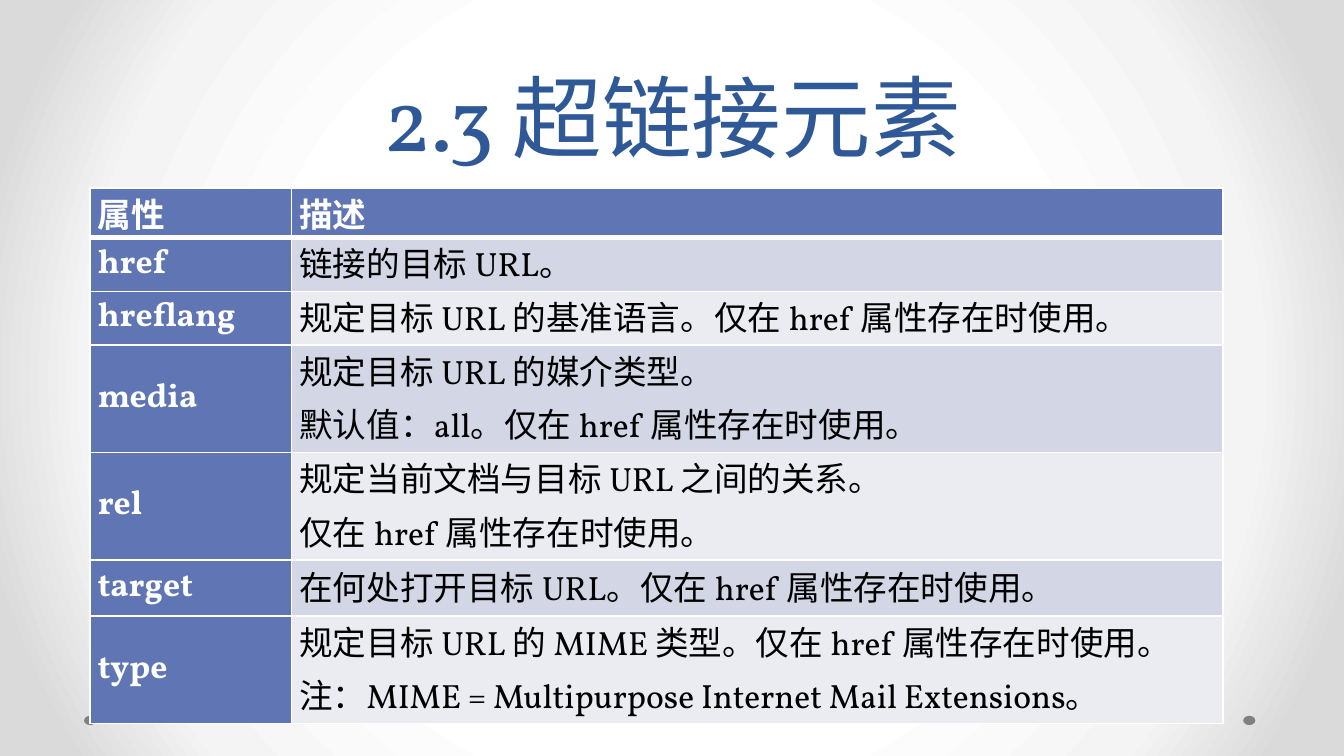
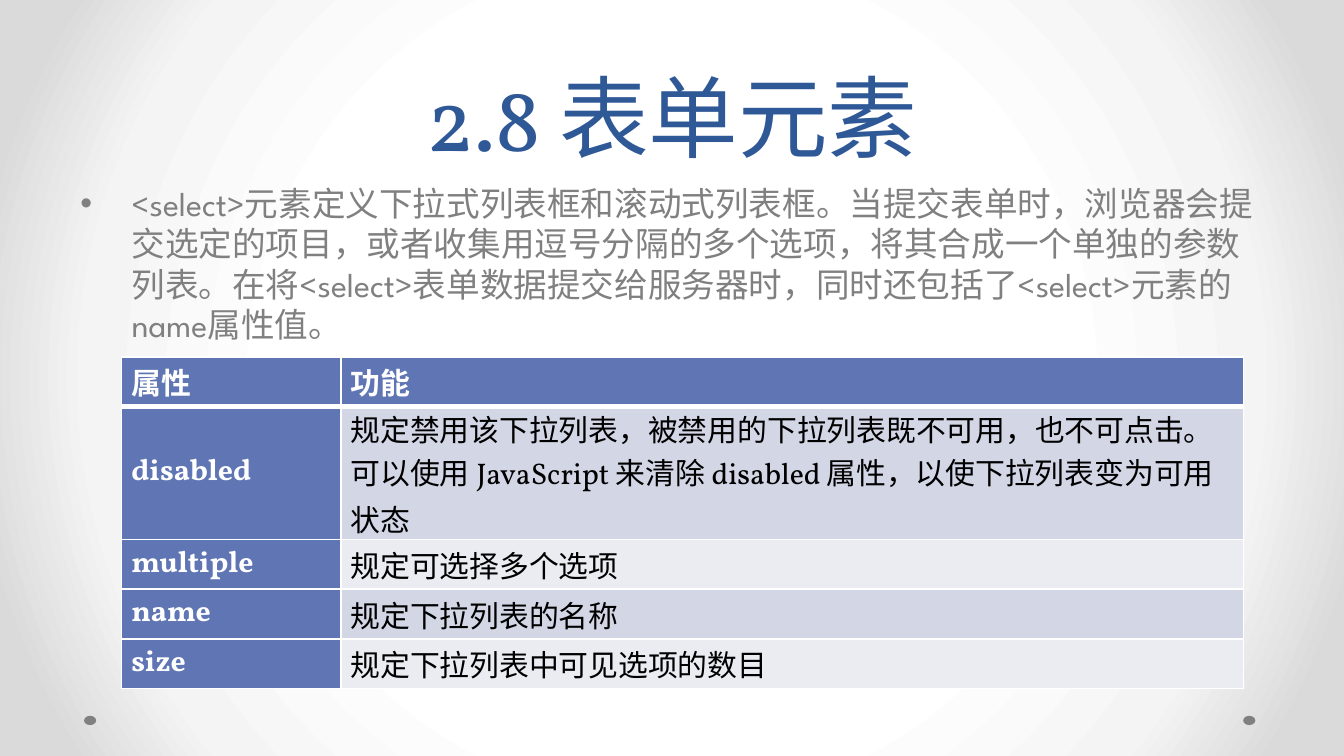
from dataclasses import dataclass

from lxml import etree
from pptx import Presentation
from pptx.dml.color import RGBColor
from pptx.enum import lang, shapes, text
from pptx.oxml import ns
from pptx.util import Pt


@dataclass(frozen=True)
class Theme:
    heading_font: str = "Vollkorn"
    body_font: str = "League Spartan"
    title_size: float = 48
    title_line: float = 58
    body_size: float = 18
    title: str = "2F5897"
    grey: str = "808080"
    white: str = "FFFFFF"
    black: str = "000000"
    header: str = "6076B4"
    bands: tuple = ("D2D6E5", "EAECF2")
    glow: tuple = ((50, "FFFFFF"), (76, "F4F4F4"), (92, "DADADA"))
    rule: float = 1
    header_rule: float = 3


def rgb(color):
    return RGBColor.from_string(color)


def child(parent, tag, **attributes):
    return etree.SubElement(parent, ns.qn(tag), attributes)


class Deck:
    def __init__(self, theme):
        self.theme = theme
        self.prs = Presentation()
        self.prs.slide_width, self.prs.slide_height = Pt(720), Pt(405)
        self.slide = None

    def new_slide(self, heading):
        self.slide = self.prs.slides.add_slide(self.prs.slide_layouts[6])
        self.background()
        for left in (666, 45):
            self.dot(left, 383.5)
        self.title(heading)

    def background(self):
        """Fill the slide with a glow that darkens towards the edges."""
        self.slide.background.fill.solid()
        properties = self.slide.element.find(".//" + ns.qn("p:bgPr"))
        properties.remove(properties[0])
        gradient = etree.Element(ns.qn("a:gradFill"), rotWithShape="1")
        stops = child(gradient, "a:gsLst")
        for position, color in self.theme.glow:
            stop = child(stops, "a:gs", pos=str(position * 1000))
            child(stop, "a:srgbClr", val=color)
        circle = child(gradient, "a:path", path="circle")
        child(circle, "a:fillToRect", **dict.fromkeys("ltrb", "50000"))
        properties.insert(0, gradient)

    def dot(self, left, top):
        dot = self.slide.shapes.add_shape(
            shapes.MSO_SHAPE.OVAL, Pt(left), Pt(top), Pt(6.5), Pt(5))
        dot.shadow.inherit = False
        dot.fill.solid()
        dot.fill.fore_color.rgb = rgb(self.theme.grey)
        dot.line.fill.background()

    def run(self, paragraph, words, font, size, color, bold=False):
        run = paragraph.add_run()
        run.text = words
        run.font.name, run.font.size, run.font.bold = font, Pt(size), bold
        run.font.color.rgb = rgb(color)
        run.font.language_id = lang.MSO_LANGUAGE_ID.SIMPLIFIED_CHINESE

    def frame(self, top, width, height, anchor):
        box = self.slide.shapes.add_textbox(Pt(36), Pt(top), Pt(width), Pt(height))
        box.text_frame.word_wrap = True
        box.text_frame.vertical_anchor = anchor
        return box.text_frame.paragraphs[0]

    def title(self, words):
        heading = self.frame(0, 648, 94.5, text.MSO_ANCHOR.BOTTOM)
        heading.alignment = text.PP_ALIGN.CENTER
        heading.line_spacing = Pt(self.theme.title_line)
        self.run(heading, words, self.theme.heading_font,
                 self.theme.title_size, self.theme.title)

    def bullet(self, words):
        point = self.frame(94.5, 647, 267, text.MSO_ANCHOR.TOP)
        point.space_before = Pt(3.6)
        properties = point._p.get_or_add_pPr()
        properties.set("marL", str(Pt(27.4)))
        properties.set("indent", str(Pt(-27.4)))
        child(properties, "a:buFont", typeface="Arial")
        child(properties, "a:buChar", char="•")
        self.run(point, words, self.theme.body_font,
                 self.theme.body_size, self.theme.grey)

    def table(self, left, top, widths, heights, rows, size, inset):
        """Draw a table; the first row and the first column are headings."""
        table = self.slide.shapes.add_table(
            len(rows), len(widths), Pt(left), Pt(top),
            Pt(sum(widths)), Pt(sum(heights))).table
        for column, width in zip(table.columns, widths):
            column.width = Pt(width)
        for r, (height, row) in enumerate(zip(heights, rows)):
            table.rows[r].height = Pt(height)
            for c, words in enumerate(row):
                is_heading = r == 0 or c == 0
                fill = self.theme.header if is_heading else self.theme.bands[(r - 1) % 2]
                self.cell(table.cell(r, c), words, size, inset, fill, is_heading)
                self.borders(table.cell(r, c), r)

    def cell(self, cell, words, size, inset, fill, is_heading):
        cell.margin_left = cell.margin_right = Pt(inset)
        cell.margin_top = cell.margin_bottom = Pt(0)
        cell.vertical_anchor = text.MSO_ANCHOR.MIDDLE
        cell.fill.solid()
        cell.fill.fore_color.rgb = rgb(fill)
        color = self.theme.white if is_heading else self.theme.black
        for i, line in enumerate(words.split("\n")):
            frame = cell.text_frame
            paragraph = frame.add_paragraph() if i else frame.paragraphs[0]
            self.run(paragraph, line, self.theme.heading_font, size, color, is_heading)

    def borders(self, cell, row):
        """Rule the cell on all sides, heavier between header and body."""
        properties = cell._tc.get_or_add_tcPr()
        heavy_side = {0: "B", 1: "T"}.get(row)
        for i, side in enumerate("LRTB"):
            width = self.theme.header_rule if side == heavy_side else self.theme.rule
            line = etree.Element(ns.qn("a:ln" + side), w=str(Pt(width)))
            child(child(line, "a:solidFill"), "a:srgbClr", val=self.theme.white)
            properties.insert(i, line)


def hyperlink_slide(deck):
    deck.new_slide("2.3 超链接元素")
    attributes = [
        ("属性", "描述"),
        ("href", "链接的目标 URL。"),
        ("hreflang", "规定目标 URL 的基准语言。仅在 href 属性存在时使用。"),
        ("media", "规定目标 URL 的媒介类型。\n默认值：all。仅在 href 属性存在时使用。"),
        ("rel", "规定当前文档与目标 URL 之间的关系。\n仅在 href 属性存在时使用。"),
        ("target", "在何处打开目标 URL。仅在 href 属性存在时使用。"),
        ("type", "规定目标 URL 的 MIME 类型。仅在 href 属性存在时使用。\n"
                 "注：MIME = Multipurpose Internet Mail Extensions。"),
    ]
    heights = [26.7, 28.8, 28.8, 57.6, 57.6, 30, 57.6]
    deck.table(48.2, 100.6, [108, 499], heights, attributes, size=18, inset=4.2)


def form_slide(deck):
    deck.new_slide("2.8 表单元素")
    deck.bullet(
        "<select>元素定义下拉式列表框和滚动式列表框。当提交表单时，浏览器会提交选定的项目，"
        "或者收集用逗号分隔的多个选项，将其合成一个单独的参数列表。"
        "在将<select>表单数据提交给服务器时，同时还包括了<select>元素的name属性值。")
    attributes = [
        ("属性", "功能"),
        ("disabled", "规定禁用该下拉列表，被禁用的下拉列表既不可用，也不可点击。"
                     "可以使用 JavaScript 来清除 disabled 属性，以使下拉列表变为可用状态"),
        ("multiple", "规定可选择多个选项"),
        ("name", "规定下拉列表的名称"),
        ("size", "规定下拉列表中可见选项的数目"),
    ]
    heights = [26.6, 71.2, 26.6, 26.6, 26.6]
    deck.table(65.2, 191.3, [117.5, 483.5], heights, attributes, size=16, inset=5.2)


def main():
    deck = Deck(Theme())
    hyperlink_slide(deck)
    form_slide(deck)
    deck.prs.save("out.pptx")


if __name__ == "__main__":
    main()
